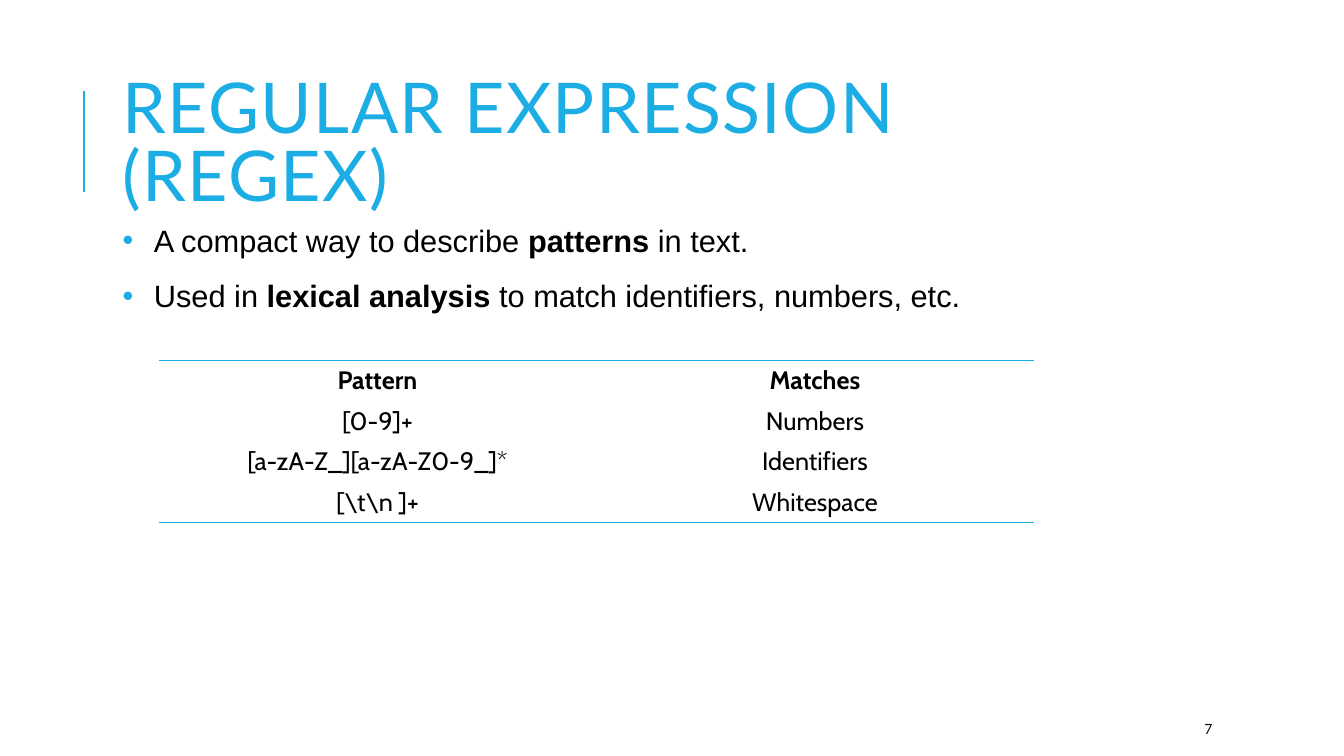
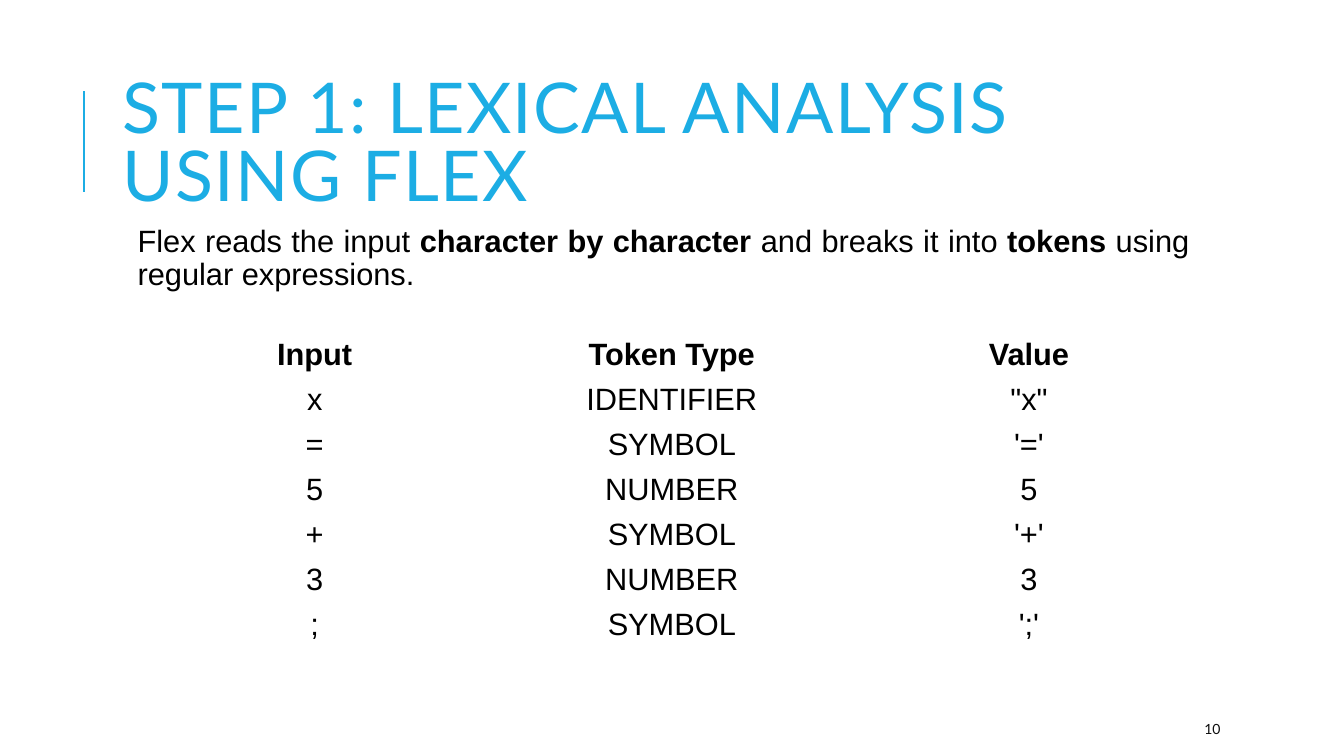
from dataclasses import dataclass
from typing import NamedTuple

from lxml.etree import SubElement
from pptx import Presentation
from pptx.dml.color import RGBColor
from pptx.enum.shapes import MSO_CONNECTOR as Connector
from pptx.enum.text import MSO_ANCHOR as Anchor, PP_ALIGN as Align
from pptx.oxml import parse_xml
from pptx.oxml.ns import nsdecls, qn
from pptx.util import Cm, Pt


class Box(NamedTuple):
    left: float
    top: float
    width: float
    height: float

    def lengths(self):
        return [Cm(value) for value in self]


@dataclass(frozen=True)
class Theme:
    accent: str = "1CADE4"
    ink: str = "000000"
    number_ink: str = "0D0D0D"
    heading_font: str = "Lato"
    body_font: str = "Arial"
    pattern_font: str = "Cabin"
    title_size: int = 50
    body_size: int = 22
    pattern_size: int = 18
    number_size: int = 10
    rule_width: float = 1.5
    border_width: float = 1


THEME = Theme()
TITLE_BOX = Box(2.84, 1.63, 27, 4.17)
NUMBER_BOX = Box(30.1, 17.98, 2.69, 0.76)
NO_TABLE_STYLE = "{2D5ABB26-0587-4C30-8999-92F81FD0307C}"


def style_span(span, font, size, color, bold=False):
    span.font.name = font
    span.font.size = Pt(size)
    span.font.color.rgb = RGBColor.from_string(color)
    span.font.bold = bold


def add_text_box(page, box, anchor=Anchor.TOP):
    frame = page.shapes.add_textbox(*box.lengths()).text_frame
    frame.word_wrap = True
    frame.vertical_anchor = anchor
    return frame


def add_title(page, box, text):
    rule_left, rule_top, rule_height = box.left - 0.73, box.top + 0.66, 2.54
    rule = page.shapes.add_connector(
        Connector.STRAIGHT, Cm(rule_left), Cm(rule_top + rule_height), Cm(rule_left), Cm(rule_top)
    )
    rule.line.color.rgb = RGBColor.from_string(THEME.accent)
    rule.line.width = Pt(THEME.rule_width)
    SubElement(rule._element.spPr, qn("a:effectLst"))

    frame = add_text_box(page, box, Anchor.MIDDLE)
    frame.text = text
    para = frame.paragraphs[0]
    para.line_spacing = 0.8
    span = para.runs[0]
    style_span(span, THEME.heading_font, THEME.title_size, THEME.accent)
    span.font._element.set("spc", "100")


def add_page_number(page, box, number):
    frame = add_text_box(page, box, Anchor.MIDDLE)
    frame.text = str(number)
    style_span(frame.paragraphs[0].runs[0], THEME.heading_font, THEME.number_size, THEME.number_ink)


def add_bullet(properties):
    color = SubElement(properties, qn("a:buClr"))
    SubElement(color, qn("a:srgbClr")).set("val", THEME.accent)
    SubElement(properties, qn("a:buFont")).set("typeface", THEME.body_font)
    SubElement(properties, qn("a:buChar")).set("char", "•")


def add_body(page, box, paragraphs, line_spacing, indent, bulleted=False):
    frame = add_text_box(page, box)
    for index, parts in enumerate(paragraphs):
        para = frame.paragraphs[0] if index == 0 else frame.add_paragraph()
        para.alignment = Align.JUSTIFY
        para.line_spacing = line_spacing
        properties = para._p.get_or_add_pPr()
        properties.set("marL", str(Cm(indent)))
        if bulleted:
            properties.set("indent", str(-Cm(indent)))
            add_bullet(properties)
        for position, text in enumerate(parts):
            span = para.add_run()
            span.text = text
            style_span(span, THEME.body_font, THEME.body_size, THEME.ink, bold=position % 2 == 1)


def add_border(cell, edge):
    border = parse_xml(
        f'<a:{edge} {nsdecls("a")} w="{Pt(THEME.border_width)}"><a:solidFill>'
        f'<a:srgbClr val="{THEME.accent}"/></a:solidFill></a:{edge}>'
    )
    cell._tc.get_or_add_tcPr().insert(0, border)


def add_table(page, box, rows, font, size, margin, bordered=False):
    row_count, column_count = len(rows), len(rows[0])
    table = page.shapes.add_table(row_count, column_count, *box.lengths()).table
    table.first_row = table.horz_banding = False
    table._tbl.tblPr.find(qn("a:tableStyleId")).text = NO_TABLE_STYLE
    for row_index, row in enumerate(rows):
        for column_index, text in enumerate(row):
            cell = table.cell(row_index, column_index)
            cell.fill.background()
            cell.vertical_anchor = Anchor.MIDDLE
            cell.margin_top = cell.margin_bottom = Cm(margin)
            cell.text_frame.text = text
            para = cell.text_frame.paragraphs[0]
            para.alignment = Align.CENTER
            style_span(para.runs[0], font, size, THEME.ink, bold=row_index == 0)
            if bordered and row_index == 0:
                add_border(cell, "lnT")
            if bordered and row_index == row_count - 1:
                add_border(cell, "lnB")


def add_page(deck, title, number):
    page = deck.slides.add_slide(deck.slide_layouts[6])
    add_title(page, TITLE_BOX, title)
    add_page_number(page, NUMBER_BOX, number)
    return page


def build_regex_page(deck):
    page = add_page(deck, "REGULAR EXPRESSION (REGEX)", 7)
    bullets = [
        ("A compact way to describe ", "patterns", " in text."),
        ("Used in ", "lexical analysis", " to match identifiers, numbers, etc."),
    ]
    add_body(page, Box(2.84, 5, 25.2, 4.32), bullets, 1.5, 0.79, bulleted=True)
    patterns = [
        ("Pattern", "Matches"),
        ("[0-9]+", "Numbers"),
        ("[a-zA-Z_][a-zA-Z0-9_]*", "Identifiers"),
        (r"[\t\n ]+", "Whitespace"),
    ]
    add_table(
        page, Box(4, 9.09, 22.05, 4.08), patterns,
        THEME.pattern_font, THEME.pattern_size, 0.12, bordered=True,
    )


def build_lexical_page(deck):
    page = add_page(deck, "STEP 1: LEXICAL ANALYSIS USING FLEX", 10)
    summary = (
        "Flex reads the input ", "character by character", " and breaks it into ",
        "tokens", " using regular expressions.",
    )
    add_body(page, Box(2.97, 5.56, 27.25, 2.2), [summary], 0.9, 0.25)
    tokens = [
        ("Input", "Token Type", "Value"),
        ("x", "IDENTIFIER", '"x"'),
        ("=", "SYMBOL", "'='"),
        ("5", "NUMBER", "5"),
        ("+", "SYMBOL", "'+'"),
        ("3", "NUMBER", "3"),
        (";", "SYMBOL", "';'"),
    ]
    add_table(
        page, Box(3.43, 8.38, 27, 7.88), tokens,
        THEME.body_font, THEME.body_size, 0.1,
    )


def main():
    deck = Presentation()
    deck.slide_width, deck.slide_height = Cm(33.87), Cm(19.05)
    build_regex_page(deck)
    build_lexical_page(deck)
    deck.save("out.pptx")


if __name__ == "__main__":
    main()
